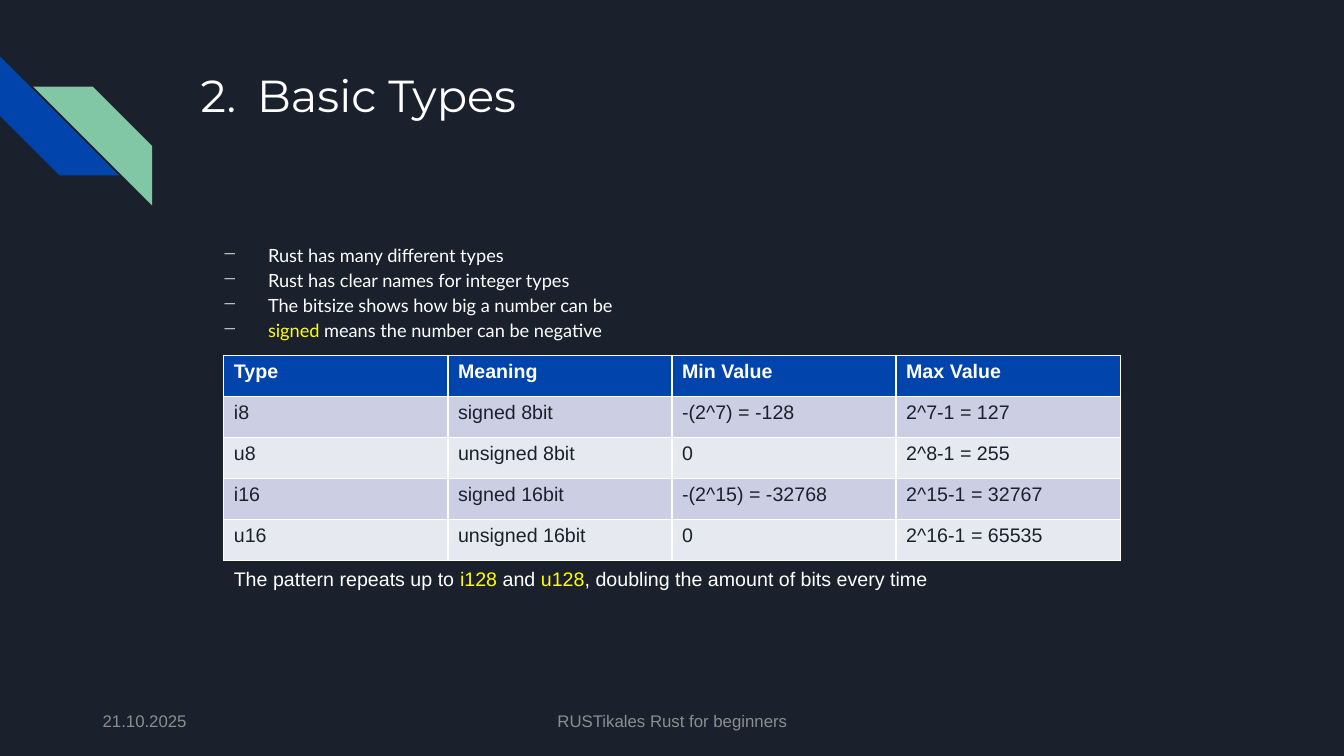
"""Build the slide on basic integer types in Rust."""
from lxml import etree
from pptx import Presentation
from pptx.dml.color import RGBColor
from pptx.enum.shapes import MSO_SHAPE
from pptx.enum.text import MSO_ANCHOR, MSO_AUTO_SIZE, PP_ALIGN
from pptx.oxml.ns import qn
from pptx.util import Inches, Pt

COLORS = {
    "background": "1B212C",
    "blue": "0145AC",
    "green": "82C7A5",
    "white": "FFFFFF",
    "yellow": "FFFF00",
    "gray": "8D8D8F",
    "odd row": "CCCFE3",
    "even row": "E7E9F1",
}


def write(paragraph, spans, font, size, color, bold=False):
    """Fill a paragraph with spans of text, given as (text, color or None)."""
    paragraph.font.name = font
    paragraph.font.size = Pt(size)
    paragraph.font.bold = bold
    paragraph.font.color.rgb = RGBColor.from_string(COLORS[color])
    for text, accent in spans:
        span = paragraph.add_run()
        span.text = text
        if accent:
            span.font.color.rgb = RGBColor.from_string(COLORS[accent])


def add_bullet(paragraph, indent, hanging, tag, **attributes):
    """Give a paragraph a white bullet with a hanging indent."""
    properties = paragraph._p.get_or_add_pPr()
    properties.set("marL", str(Inches(indent)))
    properties.set("indent", str(-Inches(hanging)))
    bullet_color = etree.SubElement(properties, qn("a:buClr"))
    etree.SubElement(bullet_color, qn("a:srgbClr"), val=COLORS["white"])
    etree.SubElement(properties, qn(tag), **attributes)


deck = Presentation()
deck.slide_width = Inches(13.33)
deck.slide_height = Inches(7.5)
page = deck.slides.add_slide(deck.slide_layouts[5])
page.background.fill.solid()
page.background.fill.fore_color.rgb = RGBColor.from_string(COLORS["background"])

stripes = []
for left, top, color in [(0, 0.56, "blue"), (0.33, 0.86, "green")]:
    stripe = page.shapes.add_shape(
        MSO_SHAPE.DIAGONAL_STRIPE, Inches(left), Inches(top), Inches(1.18), Inches(1.18)
    )
    stripe.shadow.inherit = False
    stripe.fill.solid()
    stripe.fill.fore_color.rgb = RGBColor.from_string(COLORS[color])
    stripe.line.fill.background()
    stripes.append(stripe)
stripes[0].rotation = 270
stripes[1]._element.spPr.xfrm.set("flipH", "1")

title = page.shapes.title
title.left, title.top = Inches(1.89), Inches(0.57)
title.width, title.height = Inches(10.26), Inches(1.33)
body = page.shapes.add_textbox(Inches(1.89), Inches(2.29), Inches(10.26), Inches(4.24))
for box in (title, body):
    frame = box.text_frame
    frame.word_wrap = True
    frame.auto_size = MSO_AUTO_SIZE.NONE
    frame.vertical_anchor = MSO_ANCHOR.TOP
    frame.margin_left = frame.margin_right = Inches(0.1)
    frame.margin_top = frame.margin_bottom = Inches(0.1)

heading = title.text_frame.paragraphs[0]
heading.alignment = PP_ALIGN.LEFT
add_bullet(heading, 0.56, 0.56, "a:buAutoNum", type="arabicPeriod", startAt="2")
write(heading, [("Basic Types", None)], "Montserrat", 32, "white")

points = [
    [("Rust has many different types", None)],
    [("Rust has clear names for integer types", None)],
    [("The bitsize shows how big a number can be", None)],
    [("signed", "yellow"), (" means the number can be negative", None)],
]
for index, spans in enumerate(points):
    frame = body.text_frame
    para = frame.add_paragraph() if index else frame.paragraphs[0]
    para.line_spacing = 1.15
    add_bullet(para, 0.67, 0.45, "a:buChar", char="−")
    write(para, spans, "Lato", 13, "white")

footers = [
    (0.92, 3, PP_ALIGN.LEFT, "21.10.2025"),
    (4.42, 4.5, PP_ALIGN.CENTER, "RUSTikales Rust for beginners"),
]
for left, width, alignment, text in footers:
    footer = page.shapes.add_textbox(Inches(left), Inches(6.95), Inches(width), Inches(0.4))
    footer.text_frame.word_wrap = True
    footer.text_frame.vertical_anchor = MSO_ANCHOR.MIDDLE
    para = footer.text_frame.paragraphs[0]
    para.alignment = alignment
    write(para, [(text, None)], "Arial", 12, "gray")

rows = [
    ("Type", "Meaning", "Min Value", "Max Value"),
    ("i8", "signed 8bit", "-(2^7) = -128", "2^7-1 = 127"),
    ("u8", "unsigned 8bit", "0", "2^8-1 = 255"),
    ("i16", "signed 16bit", "-(2^15) = -32768", "2^15-1 = 32767"),
    ("u16", "unsigned 16bit", "0", "2^16-1 = 65535"),
]
table = page.shapes.add_table(
    len(rows), len(rows[0]), Inches(2.22), Inches(3.53), Inches(8.89), Inches(2.03)
).table
for row_index, row in enumerate(rows):
    is_header = row_index == 0
    fill = "blue" if is_header else "odd row" if row_index % 2 else "even row"
    for column_index, text in enumerate(row):
        cell = table.cell(row_index, column_index)
        cell.fill.solid()
        cell.fill.fore_color.rgb = RGBColor.from_string(COLORS[fill])
        color = "white" if is_header else "background"
        write(cell.text_frame.paragraphs[0], [(text, None)], "Arial", 14, color, is_header)

note = page.shapes.add_textbox(Inches(2.22), Inches(5.58), Inches(7.11), Inches(0.34))
note.text_frame.word_wrap = False
note.text_frame.auto_size = MSO_AUTO_SIZE.SHAPE_TO_FIT_TEXT
pattern = [
    ("The pattern repeats up to ", None),
    ("i128", "yellow"),
    (" and ", None),
    ("u128", "yellow"),
    (", doubling the amount of bits every time", None),
]
write(note.text_frame.paragraphs[0], pattern, "Arial", 14, "white")

deck.save("out.pptx")
